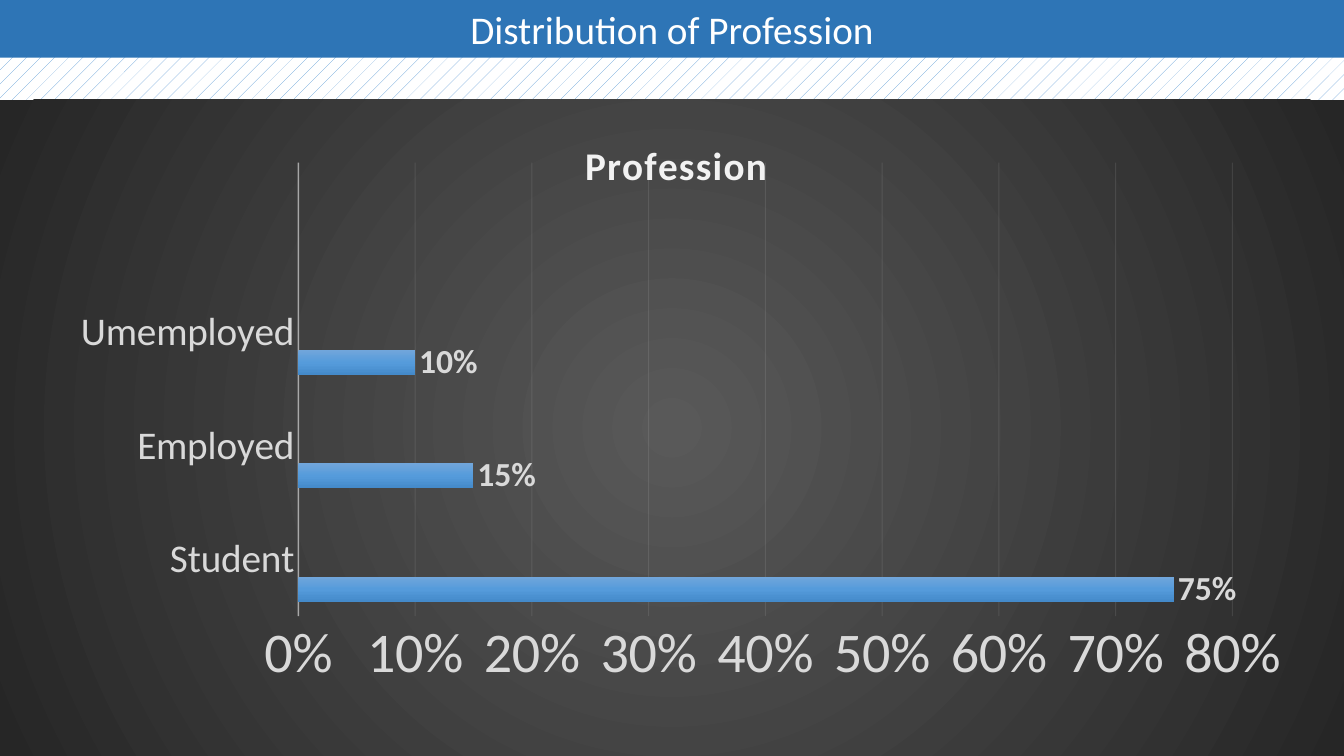
from dataclasses import dataclass

from lxml.etree import SubElement
from pptx import Presentation
from pptx.chart.data import CategoryChartData
from pptx.dml.color import RGBColor
from pptx.enum.chart import XL_CHART_TYPE, XL_LABEL_POSITION, XL_TICK_MARK
from pptx.enum.dml import MSO_PATTERN
from pptx.enum.text import MSO_ANCHOR, PP_ALIGN
from pptx.oxml import parse_xml
from pptx.oxml.ns import nsdecls, qn
from pptx.util import Cm, Pt

FONT = "Calibri"
WIDE, HIGH = Cm(33.87), Cm(19.05)
CHART_TOP = Cm(2.51)
PALE, GREY = "F2F2F2", "D9D9D9"
JOBS = ["Student", "Employed", "Umemployed", ""]


@dataclass
class Series:
    name: str
    vals: list
    stops: list
    size: float = 11.9
    bold: bool = False


SERIES = [
    Series("Series 1", [0.75, 0.15, 0.1, None],
           ["71A6DB", "559BDB", "448ACA"], 24, True),
    Series("Series 2", [None] * 4, ["F18C57", "F67B28", "E56C19"]),
    Series("Series 3", [None] * 4, ["AFAFAF", "A5A5A5", "939393"]),
]


def paint(color, code: str) -> None:
    """Set a python-pptx colour from a hex string."""
    color.rgb = RGBColor.from_string(code)


def style(font, size: float, code: str, bold: bool = False) -> None:
    font.name, font.size, font.bold = FONT, Pt(size), bold
    paint(font.color, code)


def write(frame, text: str, *, size: float, code: str, bold: bool = False):
    """Put one centred line in a text frame and return its run."""
    line = frame.paragraphs[0]
    line.alignment = PP_ALIGN.CENTER
    run = line.add_run()
    run.text = text
    style(run.font, size, code, bold)
    return run


def blend(stops: list, shade: str):
    """Build a gradient fill with evenly spaced stops."""
    step = 100000 // (len(stops) - 1)
    marks = "".join(f'<a:gs pos="{i * step}"><a:srgbClr val="{code}"/></a:gs>'
                    for i, code in enumerate(stops))
    return parse_xml(f'<a:gradFill {nsdecls("a")} rotWithShape="1">'
                     f"<a:gsLst>{marks}</a:gsLst>{shade}</a:gradFill>")


def place(part, index: int, **marks) -> None:
    """Give a chart part a manual layout."""
    for old in part.findall(qn("c:layout")):
        part.remove(old)
    body = "".join(f'<c:{key} val="{val}"/>' for key, val in marks.items())
    part.insert(index, parse_xml(
        f'<c:layout {nsdecls("c")}><c:manualLayout>{body}'
        "</c:manualLayout></c:layout>"))


def rule(line, width: float, alpha: int) -> None:
    """Draw a pale line with an opacity in percent."""
    line.width = Pt(width)
    paint(line.color, PALE)
    tint = line._get_or_add_ln().find(".//" + qn("a:srgbClr"))
    SubElement(tint, qn("a:alpha")).set("val", str(alpha * 1000))


def add_title(slide) -> None:
    bar = slide.shapes.title
    bar.left, bar.top, bar.width, bar.height = 0, 0, WIDE, Cm(1.45)
    bar.fill.solid()
    paint(bar.fill.fore_color, "2E75B6")
    frame = bar.text_frame
    frame.word_wrap = True
    frame.vertical_anchor = MSO_ANCHOR.MIDDLE
    write(frame, "Distribution of Profession", size=28, code="FFFFFF")


def set_axes(chart) -> None:
    cat, val = chart.category_axis, chart.value_axis
    for axis, size in ((cat, 28), (val, 40)):
        axis.major_tick_mark = axis.minor_tick_mark = XL_TICK_MARK.NONE
        style(axis.tick_labels.font, size, GREY)
    cat.has_major_gridlines = False
    rule(cat.format.line, 1, 54)
    val.minimum_scale, val.maximum_scale, val.major_unit = 0, 0.8, 0.1
    val.has_major_gridlines = True
    rule(val.major_gridlines.format.line, 0.75, 10)
    val.format.line.fill.background()
    val.tick_labels.number_format = "0%"
    val.tick_labels.number_format_is_linked = False


def set_bars(plot) -> None:
    plot.gap_width, plot.overlap = 115, -20
    plot.vary_by_categories = False
    for item, bars in zip(SERIES, plot.series):
        bars.invert_if_negative = False
        props = bars._element.get_or_add_spPr()
        props.append(blend(item.stops, '<a:lin ang="5400000" scaled="0"/>'))
        tags = bars.data_labels
        tags.show_value = True
        tags.position = XL_LABEL_POSITION.OUTSIDE_END
        tags.number_format = "0%"
        tags.number_format_is_linked = False
        style(tags.font, item.size, GREY, item.bold)


def add_chart(slide) -> None:
    data = CategoryChartData(number_format="0%")
    data.categories = JOBS
    for item in SERIES:
        data.add_series(item.name, item.vals)
    chart = slide.shapes.add_chart(
        XL_CHART_TYPE.BAR_CLUSTERED, 0, CHART_TOP, WIDE, HIGH - CHART_TOP,
        data).chart
    chart.has_legend = False
    style(chart.font, 10, "000000")

    head = chart.chart_title
    run = write(head.text_frame, "Profession", size=28, code=PALE, bold=True)
    run.font._element.set("spc", "100")
    head.include_in_layout = False
    place(head._element, 1, xMode="edge", yMode="edge", x=0.43, y=0.05)

    root = chart._chartSpace
    place(root.chart.plotArea, 0, layoutTarget="inner", xMode="edge",
          yMode="edge", x=0.222, y=0.096, w=0.695, h=0.691)
    back = parse_xml(f'<c:spPr {nsdecls("c", "a")}/>')
    back.append(blend(["595959", "262626"],
                      '<a:path path="circle"><a:fillToRect l="50000" '
                      't="50000" r="50000" b="50000"/></a:path>'))
    SubElement(SubElement(back, qn("a:ln")), qn("a:noFill"))
    root.chart.addnext(back)

    set_axes(chart)
    set_bars(chart.plots[0])


def main() -> None:
    deck = Presentation()
    deck.slide_width, deck.slide_height = WIDE, HIGH
    slide = deck.slides.add_slide(deck.slide_layouts[5])
    fill = slide.background.fill
    fill.patterned()
    fill.pattern = MSO_PATTERN.PERCENT_5
    paint(fill.fore_color, "5B9BD5")
    paint(fill.back_color, "FFFFFF")
    add_title(slide)
    add_chart(slide)
    deck.save("out.pptx")


if __name__ == "__main__":
    main()
